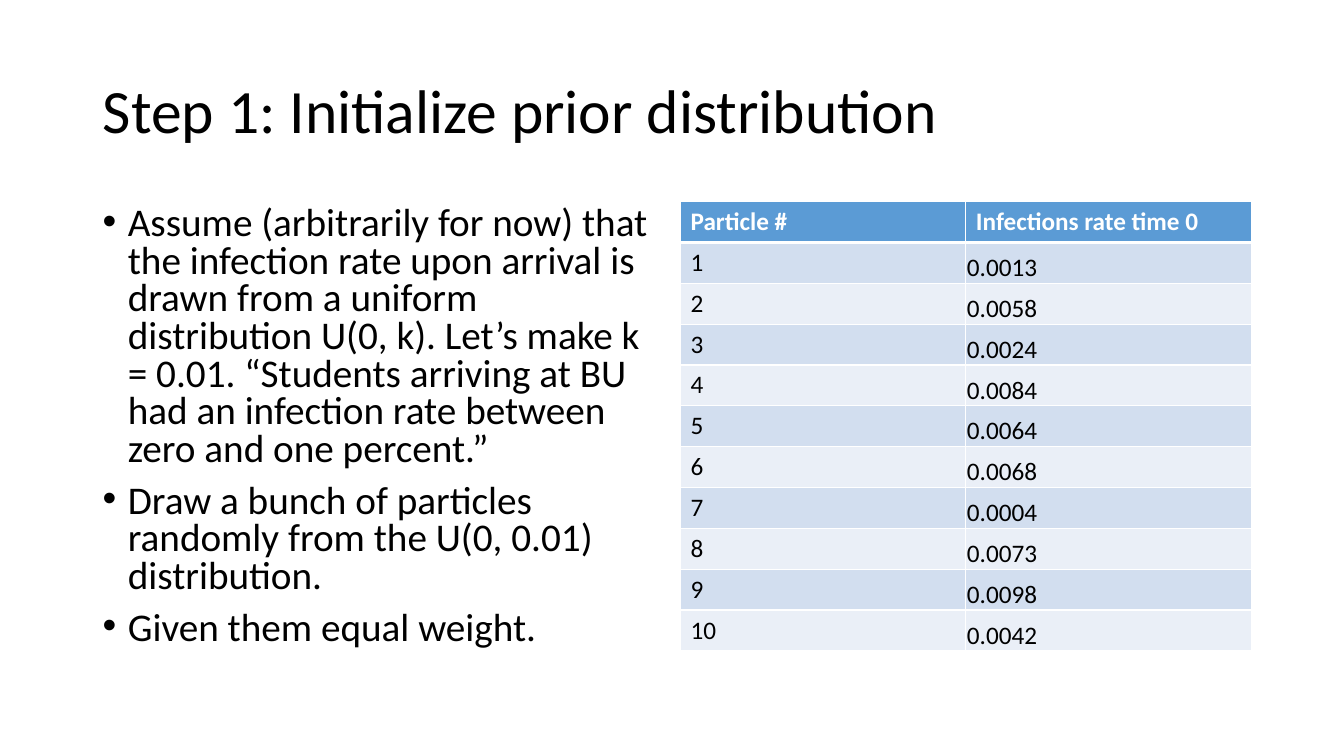
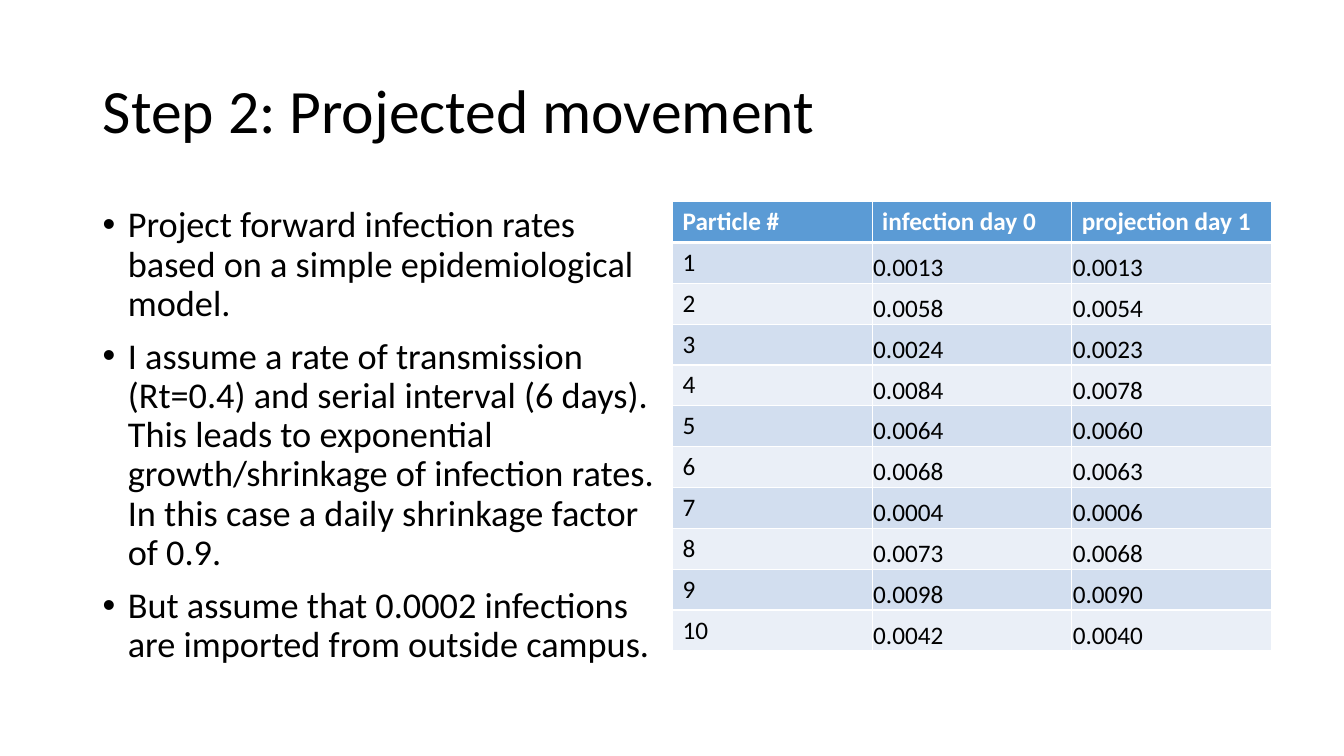
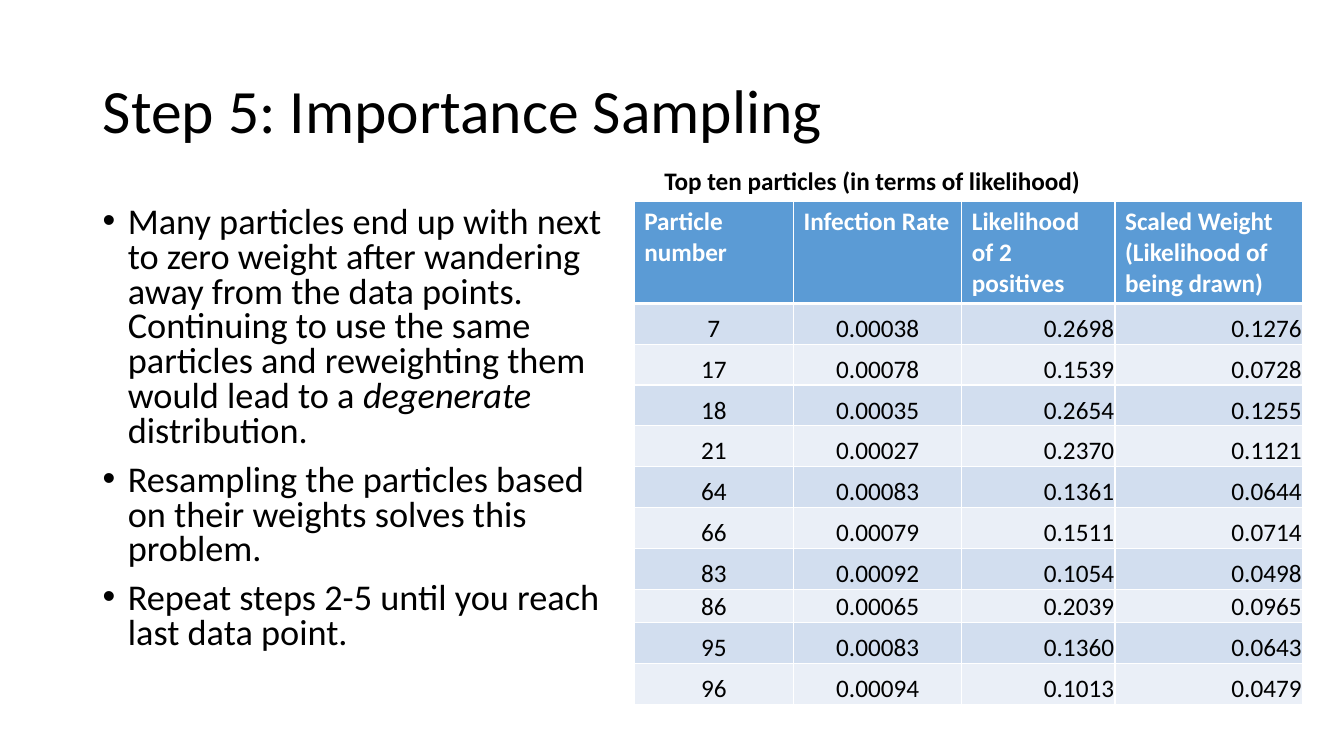
"""Build three slides that explain steps of a particle filter for infection rates."""
from dataclasses import dataclass

from lxml.etree import SubElement
from pptx import Presentation
from pptx.dml.color import RGBColor
from pptx.enum.text import MSO_ANCHOR, MSO_AUTO_SIZE, PP_ALIGN
from pptx.oxml.ns import qn
from pptx.util import Inches, Pt


@dataclass(frozen=True)
class Theme:
    font: str = "Calibri"
    text: str = "000000"
    paper: str = "FFFFFF"
    header: str = "5B9BD5"
    bands: tuple = ("D2DEEF", "EAEFF7")
    title_size: float = 44
    table_size: float = 18
    border: float = 1
    header_border: float = 3
    bullet_gap: float = 10
    row_height: float = 4.46 / 11


THEME = Theme()
TABLE_TOP = 2
TITLE_BOX = (0.92, 0.4, 11.5, 1.45)
LEFT, CENTER, RIGHT = PP_ALIGN.LEFT, PP_ALIGN.CENTER, PP_ALIGN.RIGHT

PARTICLES = [str(number) for number in range(1, 11)]
DAY_0 = ["0.0013", "0.0058", "0.0024", "0.0084", "0.0064",
         "0.0068", "0.0004", "0.0073", "0.0098", "0.0042"]
DAY_1 = ["0.0013", "0.0054", "0.0023", "0.0078", "0.0060",
         "0.0063", "0.0006", "0.0068", "0.0090", "0.0040"]
TOP_PARTICLES = [
    ("7", "0.00038", "0.2698", "0.1276"),
    ("17", "0.00078", "0.1539", "0.0728"),
    ("18", "0.00035", "0.2654", "0.1255"),
    ("21", "0.00027", "0.2370", "0.1121"),
    ("64", "0.00083", "0.1361", "0.0644"),
    ("66", "0.00079", "0.1511", "0.0714"),
    ("83", "0.00092", "0.1054", "0.0498"),
    ("86", "0.00065", "0.2039", "0.0965"),
    ("95", "0.00083", "0.1360", "0.0643"),
    ("96", "0.00094", "0.1013", "0.0479"),
]

# Each bullet is a tuple of runs; every second run is italic.
SLIDES = [
    {
        "title": "Step 1: Initialize prior distribution",
        "bullets": [
            ("Assume (arbitrarily for now) that the infection rate upon arrival is drawn "
             "from a uniform distribution U(0, k). Let’s make k = 0.01. “Students arriving "
             "at BU had an infection rate between zero and one percent.”",),
            ("Draw a bunch of particles randomly from the U(0, 0.01) distribution.",),
            ("Given them equal weight.",),
        ],
        "body": {"width": 5.67, "size": 28, "line_spacing": 0.8},
        "table": {
            "left": 6.75,
            "widths": [2.83] * 2,
            "header": ["Particle #", "Infections rate time 0"],
            "rows": list(zip(PARTICLES, DAY_0)),
            "alignments": [LEFT] * 2,
            "first_tight_column": 1,
        },
    },
    {
        "title": "Step 2: Projected movement",
        "bullets": [
            ("Project forward infection rates based on a simple epidemiological model.",),
            ("I assume a rate of transmission (Rt=0.4) and serial interval (6 days). This "
             "leads to exponential growth/shrinkage of infection rates. In this case a "
             "daily shrinkage factor of 0.9.",),
            ("But assume that 0.0002 infections are imported from outside campus.",),
        ],
        "body": {"width": 5.67, "size": 25.9, "line_spacing": 0.9},
        "table": {
            "left": 6.67,
            "widths": [1.98] * 3,
            "header": ["Particle #", "infection day 0", "projection day 1"],
            "rows": list(zip(PARTICLES, DAY_0, DAY_1)),
            "alignments": [LEFT] * 3,
            "first_tight_column": 1,
        },
    },
    {
        "title": "Step 5: Importance Sampling",
        "bullets": [
            ("Many particles end up with next to zero weight after wandering away from the "
             "data points. Continuing to use the same particles and reweighting them would "
             "lead to a ", "degenerate", " distribution."),
            ("Resampling the particles based on their weights solves this problem.",),
            ("Repeat steps 2-5 until you reach last data point.",),
        ],
        "body": {"width": 5.37, "size": 25.9, "line_spacing": 0.8},
        "table": {
            "left": 6.29,
            "widths": [1.58, 1.67, 1.52, 1.86],
            "header": ["Particle number", "Infection Rate", "Likelihood of 2 positives",
                       "Scaled Weight (Likelihood of being drawn)"],
            "rows": TOP_PARTICLES,
            "alignments": [CENTER, CENTER, RIGHT, RIGHT],
            "first_tight_column": 0,
            "heights": {0: 1.01, 8: 0.33},
        },
        "caption": "Top ten particles (in terms of likelihood)",
    },
]


def add_run(paragraph, text, size, color=THEME.text, bold=False, italic=False):
    run = paragraph.add_run()
    run.text = text
    font = run.font
    font.name, font.size, font.bold, font.italic = THEME.font, Pt(size), bold, italic
    font.color.rgb = RGBColor.from_string(color)


def add_text_frame(slide, *box):
    frame = slide.shapes.add_textbox(*map(Inches, box)).text_frame
    frame.word_wrap = True
    return frame


def set_title(slide, text):
    title = slide.shapes.title
    title.left, title.top, title.width, title.height = map(Inches, TITLE_BOX)
    frame = title.text_frame
    frame.auto_size = MSO_AUTO_SIZE.NONE
    frame.vertical_anchor = MSO_ANCHOR.MIDDLE
    paragraph = frame.paragraphs[0]
    paragraph.alignment = LEFT
    paragraph.line_spacing = 0.9
    add_run(paragraph, text, THEME.title_size)


def add_bullets(slide, bullets, width, size, line_spacing):
    frame = add_text_frame(slide, 0.92, 2, width, 4.76)
    for index, runs in enumerate(bullets):
        paragraph = frame.add_paragraph() if index else frame.paragraphs[0]
        properties = paragraph._p.get_or_add_pPr()
        properties.set("marL", str(Inches(0.25)))
        properties.set("indent", str(-Inches(0.25)))
        SubElement(properties, qn("a:buFont"), typeface="Arial")
        SubElement(properties, qn("a:buChar"), char="•")
        paragraph.line_spacing = line_spacing
        if index:
            paragraph.space_before = Pt(THEME.bullet_gap)
        for position, text in enumerate(runs):
            add_run(paragraph, text, size, italic=position % 2 == 1)


def set_borders(cell, row):
    properties = cell._tc.get_or_add_tcPr()
    top = THEME.header_border if row == 1 else THEME.border
    bottom = THEME.header_border if row == 0 else THEME.border
    for side, width in zip("LRTB", (THEME.border, THEME.border, top, bottom)):
        line = SubElement(properties, qn(f"a:ln{side}"), w=str(Pt(width)))
        fill = SubElement(line, qn("a:solidFill"))
        SubElement(fill, qn("a:srgbClr"), val=THEME.paper)


def fill_cell(cell, row, text, alignment, tight):
    is_header = row == 0
    set_borders(cell, row)
    cell.fill.solid()
    color = THEME.header if is_header else THEME.bands[(row - 1) % 2]
    cell.fill.fore_color.rgb = RGBColor.from_string(color)
    if tight:
        cell.vertical_anchor = MSO_ANCHOR.BOTTOM
        cell.margin_left = cell.margin_right = cell.margin_top = Inches(0.01)
        cell.margin_bottom = 0
    paragraph = cell.text_frame.paragraphs[0]
    paragraph.alignment = alignment
    add_run(paragraph, text, THEME.table_size,
            THEME.paper if is_header else THEME.text, bold=is_header)


def add_particle_table(slide, left, widths, header, rows, alignments,
                       first_tight_column, heights=None):
    lines = [header, *rows]
    row_heights = [(heights or {}).get(row, THEME.row_height) for row in range(len(lines))]
    table = slide.shapes.add_table(
        len(lines), len(widths), Inches(left), Inches(TABLE_TOP),
        Inches(sum(widths)), Inches(sum(row_heights))).table
    for column, width in zip(table.columns, widths):
        column.width = Inches(width)
    for row, (line, height) in enumerate(zip(lines, row_heights)):
        table.rows[row].height = Inches(height)
        for column, text in enumerate(line):
            alignment = alignments[column] if row else LEFT
            tight = row > 0 and column >= first_tight_column
            fill_cell(table.cell(row, column), row, text, alignment, tight)


def main():
    presentation = Presentation()
    presentation.slide_width, presentation.slide_height = Inches(13.33), Inches(7.5)
    title_only = presentation.slide_layouts[5]
    for content in SLIDES:
        slide = presentation.slides.add_slide(title_only)
        set_title(slide, content["title"])
        add_bullets(slide, content["bullets"], **content["body"])
        add_particle_table(slide, **content["table"])
        if "caption" in content:
            frame = add_text_frame(slide, 6.49, 1.59, 4.57, 0.4)
            add_run(frame.paragraphs[0], content["caption"], THEME.table_size, bold=True)
    presentation.save("out.pptx")


if __name__ == "__main__":
    main()
